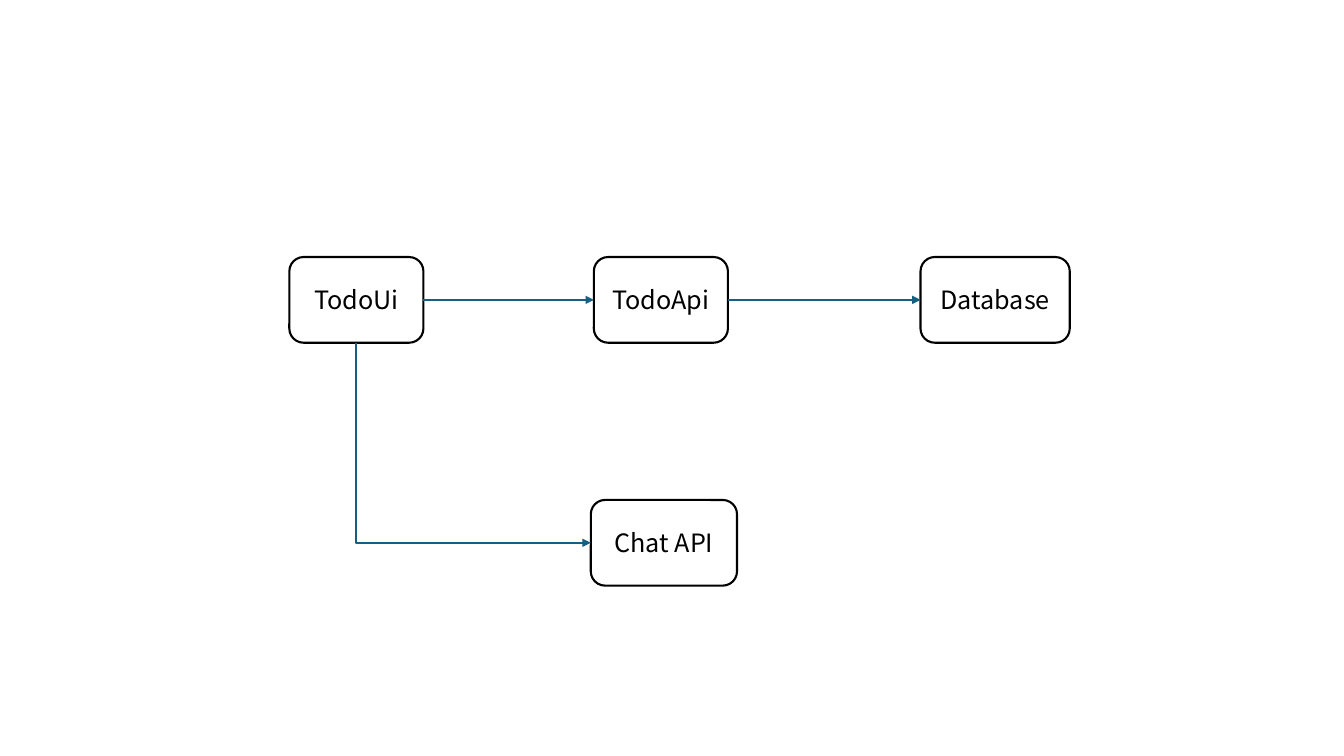
from pptx import Presentation
from pptx.dml.color import RGBColor
from pptx.enum.shapes import MSO_CONNECTOR, MSO_SHAPE
from pptx.enum.text import MSO_ANCHOR, PP_ALIGN
from pptx.oxml.ns import qn
from pptx.util import Inches, Pt
from lxml import etree

STRAIGHT, ELBOW = MSO_CONNECTOR.STRAIGHT, MSO_CONNECTOR.ELBOW
ROUNDED = MSO_SHAPE.ROUNDED_RECTANGLE
CENTER, MIDDLE = PP_ALIGN.CENTER, MSO_ANCHOR.MIDDLE
LEFT_SITE, BOTTOM_SITE, RIGHT_SITE = 1, 2, 3

FONT = "Noto Sans CJK JP"
BOX_HEIGHT = 0.85
TOP_ROW, BOTTOM_ROW = 2.55, 4.96


def color(hex_value):
    return RGBColor.from_string(hex_value)


def add_arrow(kind, source, source_site, target):
    """Connect two services with an arrow that enters the target's left side."""
    arrow = slide.shapes.add_connector(kind, 0, 0, 0, 0)
    arrow.begin_connect(source, source_site)
    arrow.end_connect(target, LEFT_SITE)
    arrow.line.color.rgb = color("156082")
    arrow.line.width = Pt(1.5)
    properties = arrow._element.spPr
    etree.SubElement(properties.find(qn("a:ln")), qn("a:tailEnd"), type="triangle")
    etree.SubElement(properties, qn("a:effectLst"))
    return arrow


prs = Presentation()
prs.slide_width, prs.slide_height = Inches(13.33), Inches(7.5)
slide = prs.slides.add_slide(prs.slide_layouts[6])

# Services: label, left, top, width
services = {}
for label, left, top, width in [
    ("TodoUi", 2.87, TOP_ROW, 1.33),
    ("TodoApi", 5.89, TOP_ROW, 1.33),
    ("Chat API", 5.86, BOTTOM_ROW, 1.45),
    ("Database", 9.13, TOP_ROW, 1.48),
]:
    service = slide.shapes.add_shape(
        ROUNDED, Inches(left), Inches(top), Inches(width), Inches(BOX_HEIGHT))
    service.shadow.inherit = False
    service.fill.solid()
    service.fill.fore_color.rgb = color("FFFFFF")
    service.line.color.rgb = color("000000")
    service.line.width = Pt(1.5)
    service.text_frame.text = label
    service.text_frame.vertical_anchor = MIDDLE
    paragraph = service.text_frame.paragraphs[0]
    paragraph.alignment = CENTER
    font = paragraph.runs[0].font
    font.name, font.size = FONT, Pt(18)
    font.color.rgb = color("000000")
    services[label] = service

# Calls along the top row
for caller, callee in [("TodoUi", "TodoApi"), ("TodoApi", "Database")]:
    add_arrow(STRAIGHT, services[caller], RIGHT_SITE, services[callee])

# Call down to the chat service: a single bend, turned so it goes down, then right
chat_call = add_arrow(ELBOW, services["TodoUi"], BOTTOM_SITE, services["Chat API"])
across, down = chat_call.width, chat_call.height
chat_call.left += (across - down) // 2
chat_call.top += (down - across) // 2
chat_call.width, chat_call.height = down, across
chat_geometry = chat_call._element.spPr
chat_geometry.find(qn("a:prstGeom")).set("prst", "bentConnector2")
chat_geometry.find(qn("a:xfrm")).set("rot", str(270 * 60000))
chat_geometry.find(qn("a:xfrm")).set("flipH", "1")

prs.save("out.pptx")
